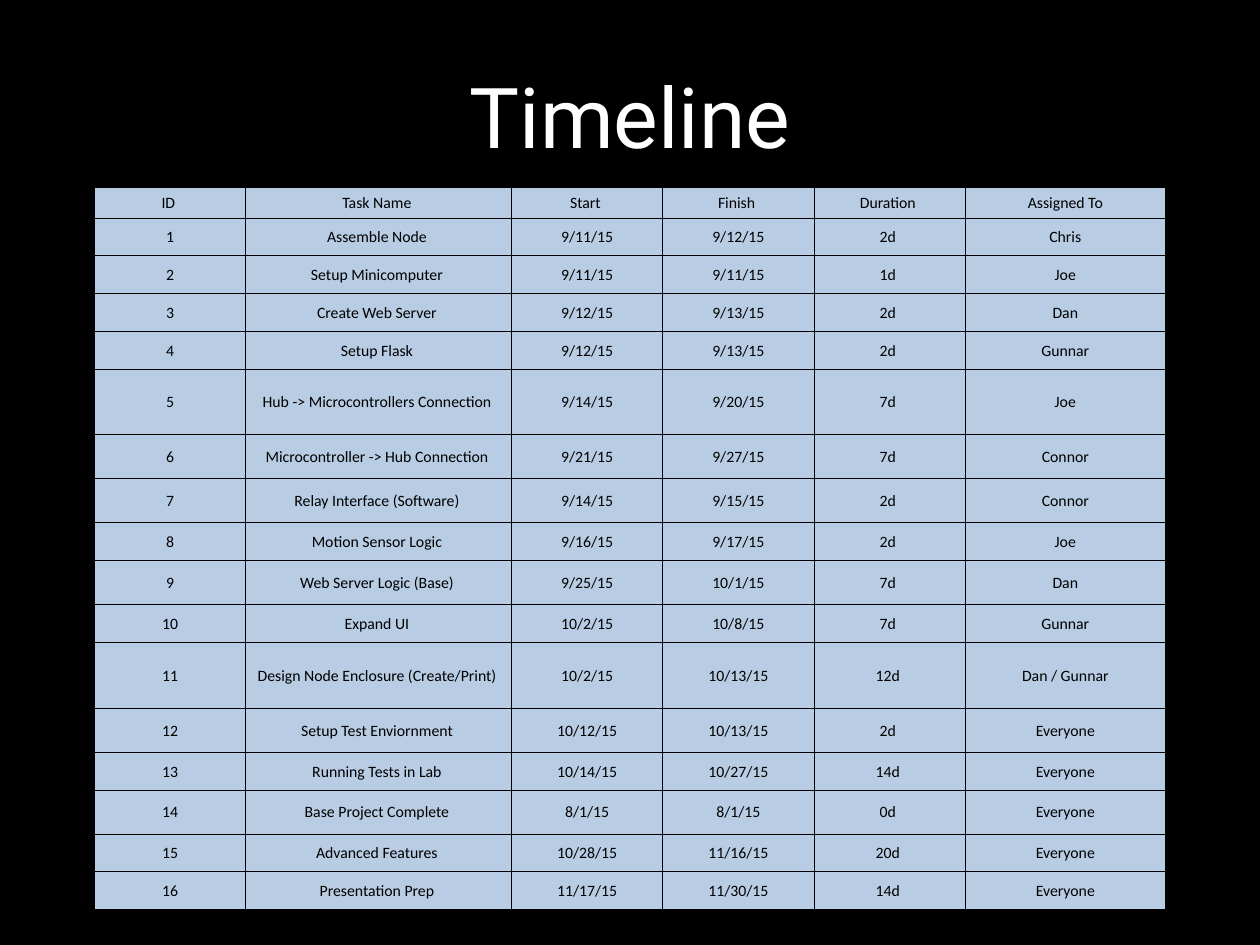
import dataclasses

import pptx
import pptx.dml.color
import pptx.enum.text
import pptx.oxml
import pptx.oxml.ns
import pptx.util

Inches = pptx.util.Inches
RGB = pptx.dml.color.RGBColor.from_string


@dataclasses.dataclass(frozen=True)
class Theme:
    background: str = "000000"
    title_color: str = "FFFFFF"
    cell_fill: str = "B8CCE4"
    cell_text: str = "000000"
    border: str = "000000"
    border_width: float = 0.5
    title_font: str = "Roboto"
    title_size: int = 48
    body_font: str = "Calibri"
    body_size: int = 9


HEADER = ("ID ", "Task Name ", "Start ", "Finish ", "Duration ", "Assigned To")
TASKS = (
    ("Assemble Node", "9/11/15", "9/12/15", 2, "Chris"),
    ("Setup Minicomputer", "9/11/15", "9/11/15", 1, "Joe"),
    ("Create Web Server", "9/12/15", "9/13/15", 2, "Dan"),
    ("Setup Flask", "9/12/15", "9/13/15", 2, "Gunnar"),
    ("Hub -> Microcontrollers Connection", "9/14/15", "9/20/15", 7, "Joe"),
    ("Microcontroller -> Hub Connection", "9/21/15", "9/27/15", 7, "Connor"),
    ("Relay Interface (Software)", "9/14/15", "9/15/15", 2, "Connor"),
    ("Motion Sensor Logic", "9/16/15", "9/17/15", 2, "Joe"),
    ("Web Server Logic (Base)", "9/25/15", "10/1/15", 7, "Dan"),
    ("Expand UI", "10/2/15", "10/8/15", 7, "Gunnar"),
    ("Design Node Enclosure (Create/Print)", "10/2/15", "10/13/15", 12, "Dan / Gunnar"),
    ("Setup Test Enviornment", "10/12/15", "10/13/15", 2, "Everyone"),
    ("Running Tests in Lab", "10/14/15", "10/27/15", 14, "Everyone"),
    ("Base Project Complete", "8/1/15", "8/1/15", 0, "Everyone"),
    ("Advanced Features", "10/28/15", "11/16/15", 20, "Everyone"),
    ("Presentation Prep", "11/17/15", "11/30/15", 14, "Everyone"),
)
COL_WIDTHS = (1.2, 2.11, 1.2, 1.2, 1.2, 1.59)
HEADER_HEIGHT, SINGLE, MEDIUM, TALL = 0.24, 0.3, 0.35, 0.52
ROW_HEIGHTS = (HEADER_HEIGHT, *[SINGLE] * 4, TALL, MEDIUM, MEDIUM, SINGLE, MEDIUM,
               SINGLE, TALL, MEDIUM, SINGLE, MEDIUM, SINGLE, SINGLE)


class SlideBuilder:
    """Hold the theme and current slide and add styled elements to it."""

    def __init__(self, prs, theme):
        self.theme = theme
        self.s = prs.slides.add_slide(prs.slide_layouts[5])
        fill = self.s.background.fill
        fill.solid()
        fill.fore_color.rgb = RGB(theme.background)

    def text(self, tf, text, font, size, color):
        p = tf.paragraphs[0]
        p.alignment = pptx.enum.text.PP_ALIGN.CENTER
        r = p.add_run()
        r.text = text
        formats = {"name": font, "size": pptx.util.Pt(size)}
        for name, value in formats.items():
            setattr(r.font, name, value)
        r.font.color.rgb = RGB(color)

    def title(self, text, left, top, width, height):
        sp = self.s.shapes.title
        box = {"left": left, "top": top, "width": width, "height": height}
        for name, value in box.items():
            setattr(sp, name, Inches(value))
        tf = sp.text_frame
        formats = {
            "word_wrap": True,
            "auto_size": pptx.enum.text.MSO_AUTO_SIZE.NONE,
            "vertical_anchor": pptx.enum.text.MSO_ANCHOR.MIDDLE,
        }
        for name, value in formats.items():
            setattr(tf, name, value)
        t = self.theme
        self.text(tf, text, t.title_font, t.title_size, t.title_color)

    def borders(self, cell):
        tc_pr = cell._tc.get_or_add_tcPr()
        width = pptx.util.Pt(self.theme.border_width)
        for i, side in enumerate(("lnL", "lnR", "lnT", "lnB")):
            tc_pr.insert(i, pptx.oxml.parse_xml(
                f'<a:{side} {pptx.oxml.ns.nsdecls("a")} w="{int(width)}"><a:solidFill>'
                f'<a:srgbClr val="{self.theme.border}"/></a:solidFill></a:{side}>'))

    def cell(self, cell, text):
        t = self.theme
        formats = {
            "margin_left": Inches(0.01),
            "margin_top": Inches(0.01),
            "margin_right": Inches(0.01),
            "margin_bottom": 0,
            "vertical_anchor": pptx.enum.text.MSO_ANCHOR.MIDDLE,
        }
        for name, value in formats.items():
            setattr(cell, name, value)
        cell.fill.solid()
        cell.fill.fore_color.rgb = RGB(t.cell_fill)
        self.borders(cell)
        self.text(cell.text_frame, text, t.body_font, t.body_size, t.cell_text)

    def table(self, rows, left, top, widths, heights):
        table = self.s.shapes.add_table(
            len(rows), len(widths), Inches(left), Inches(top),
            Inches(sum(widths)), Inches(sum(heights))).table
        for column, width in zip(table.columns, widths):
            column.width = Inches(width)
        for row, height, values in zip(table.rows, heights, rows):
            row.height = Inches(height)
            for cell, text in zip(row.cells, values):
                self.cell(cell, text)


def main():
    prs = pptx.Presentation()
    prs.slide_width, prs.slide_height = Inches(10), Inches(7.5)
    slide = SlideBuilder(prs, Theme())
    slide.title("Timeline", 0.75, 0.13, 8.5, 1.56)
    rows = [HEADER]
    for number, (task, start, finish, days, owner) in enumerate(TASKS, 1):
        rows.append((str(number), f"{task} ", start, finish, f"{days}d ", owner))
    slide.table(rows, 0.75, 1.49, COL_WIDTHS, ROW_HEIGHTS)
    prs.save("out.pptx")


if __name__ == "__main__":
    main()
